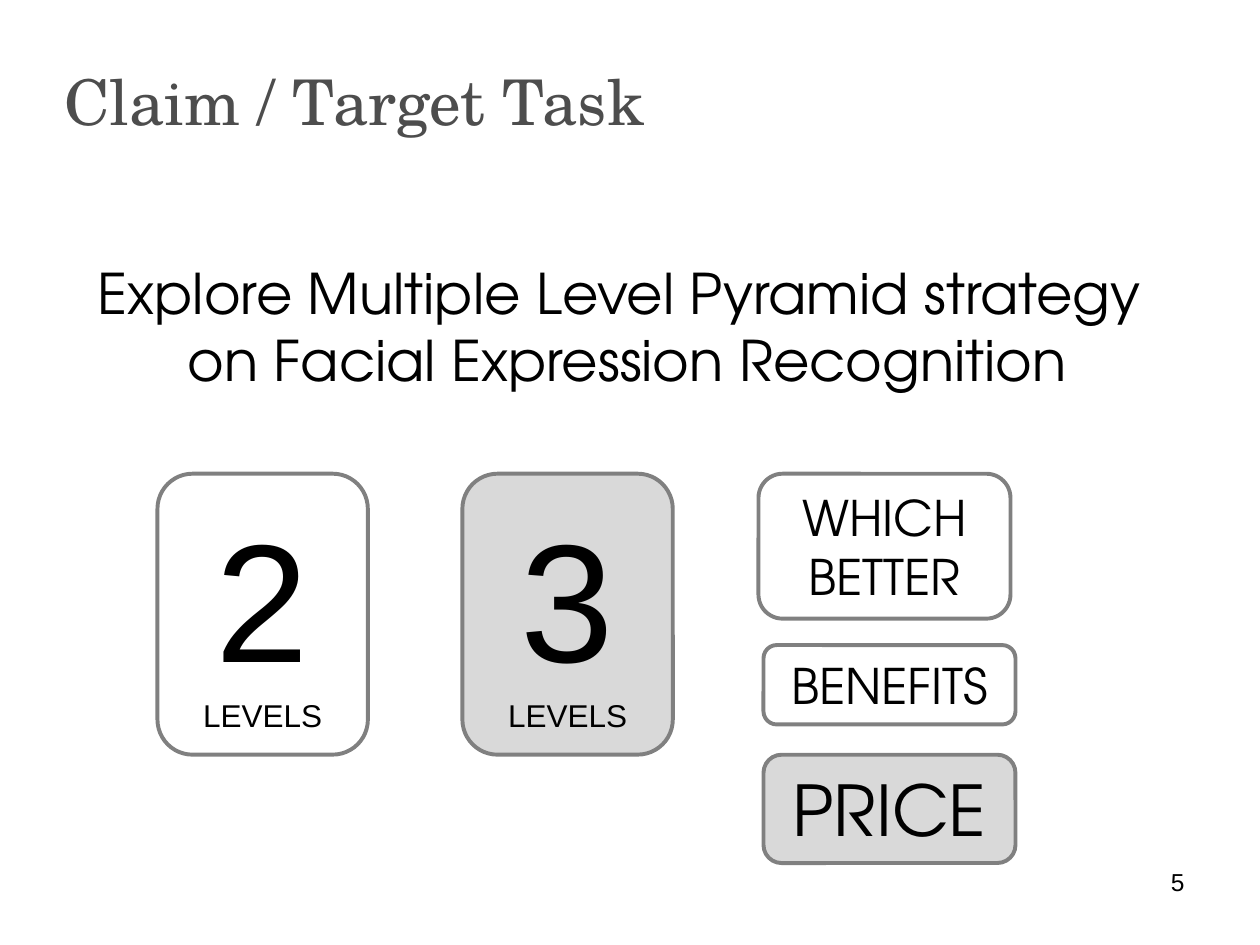
from pptx import Presentation
from pptx.dml.color import RGBColor
from pptx.enum.shapes import MSO_SHAPE as Shape
from pptx.enum.text import MSO_ANCHOR as Anchor, PP_ALIGN as Align
from pptx.util import Emu, Pt

PX = 9144  # 100 px to the inch
SANS, GEO, SERIF = "Arial", "TeX Gyre Adventor", "TeX Gyre Schola"
BLACK, DARK, GRAY, LIGHT, WHITE = "000000", "4D4D4D", "808080", "D9D9D9", "FFFFFF"

TITLE = "Claim / Target Task"
CLAIM = ["Explore Multiple Level Pyramid strategy ",
         "on Facial Expression Recognition"]
PAGE = "5"

# Each card: place, fill, font, lines with sizes
CARDS = [
    ((367, 376, 167, 223), LIGHT, SANS, [("3", 96), ("LEVELS", 18)]),
    ((125, 376, 167, 223), None, SANS, [("2", 96), ("LEVELS", 18)]),
    ((602, 376, 200, 115), None, GEO, [("WHICH", 28), ("BETTER", 28)]),
    ((606, 512, 200, 63), WHITE, GEO, [("BENEFITS", 28)]),
    ((606, 599, 200, 86), LIGHT, GEO, [("PRICE", 40)]),
]


def rgb(code):
    return RGBColor.from_string(code)


def scale(box):
    return [Emu(n * PX) for n in box]


def write(shape, lines, face, color=BLACK, align=Align.CENTER, anchor=Anchor.MIDDLE):
    frame = shape.text_frame
    frame.word_wrap = True
    frame.vertical_anchor = anchor
    frame.text = "\n".join(text for text, _ in lines)
    for para, (_, size) in zip(frame.paragraphs, lines):
        para.alignment = align
        para.space_before = Pt(0)
        font = para.font
        font.name, font.size, font.color.rgb = face, Pt(size), rgb(color)


def card(slide, box, fill, face, lines):
    shape = slide.shapes.add_shape(Shape.ROUNDED_RECTANGLE, *scale(box))
    shape.shadow.inherit = False
    if fill:
        shape.fill.solid()
        shape.fill.fore_color.rgb = rgb(fill)
    else:
        shape.fill.background()
    shape.line.color.rgb = rgb(GRAY)
    shape.line.width = Pt(2.25)
    write(shape, lines, face)


def main():
    deck = Presentation()
    deck.slide_width, deck.slide_height = scale((1000, 750))
    slide = deck.slides.add_slide(deck.slide_layouts[5])

    # Title
    title = slide.shapes.title
    title.left, title.top, title.width, title.height = scale((41, 17, 749, 125))
    write(title, [(TITLE, 36)], SERIF, DARK, Align.LEFT)

    # Page number and claim
    page = slide.shapes.add_textbox(*scale((717, 683, 233, 52)))
    write(page, [(PAGE, 14)], SANS, align=Align.RIGHT, anchor=Anchor.TOP)
    claim = slide.shapes.add_textbox(*scale((44, 200, 908, 118)))
    write(claim, [(text, 32) for text in CLAIM], GEO, anchor=Anchor.TOP)

    # Cards
    for item in CARDS:
        card(slide, *item)

    deck.save("out.pptx")


if __name__ == "__main__":
    main()
